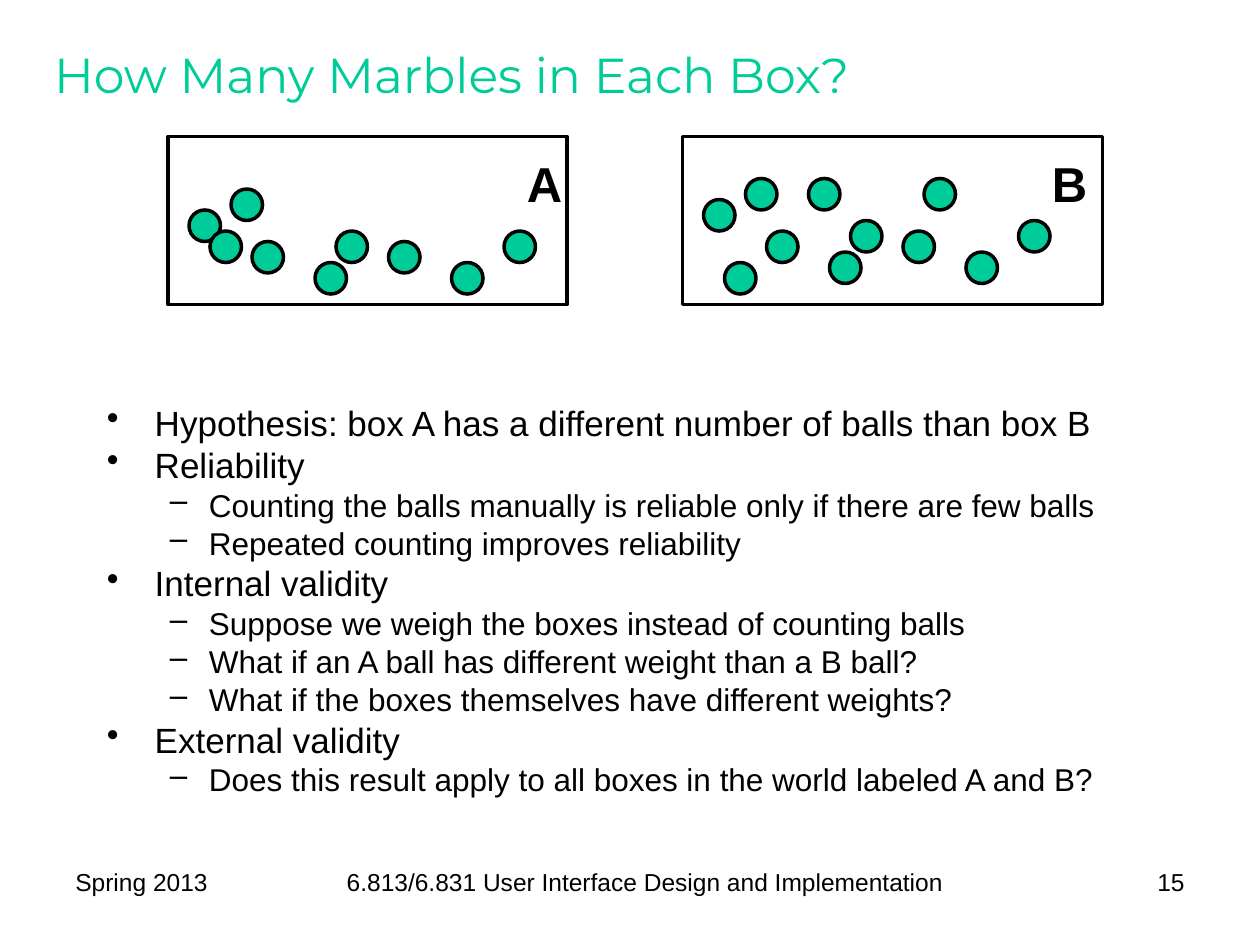
import dataclasses

import pptx
import pptx.dml.color
import pptx.enum.shapes
import pptx.enum.text
import pptx.oxml.ns
import pptx.util
from lxml import etree
from pptx.util import Inches

ALIGN = pptx.enum.text.PP_ALIGN
SHAPE = pptx.enum.shapes.MSO_SHAPE


@dataclasses.dataclass(frozen=True)
class Theme:
    """Hold the colours, fonts and sizes of the slide."""
    accent: str = "00CC99"
    ink: str = "000000"
    paper: str = "FFFFFF"
    heading: str = "Montserrat"
    body: str = "Arial"
    title_size: int = 28
    label_size: int = 28
    level_sizes: tuple = (20, 18)
    level_gaps: tuple = (5, 4.4)
    footer_size: int = 14
    line: int = 2


THEME = Theme()
UNIT = 1 / 12
MARBLE = 0.25
LEVELS = (("•", 0.38, -0.38), ("–", 0.81, -0.31))

BOXES = (
    ("A", (16 * UNIT, 13 * UNIT, 38 * UNIT, 16 * UNIT), 33,
     ((2, 7), (4, 9), (6, 5), (8, 10), (14, 12), (16, 9), (21, 10),
      (27, 12), (32, 9))),
    ("B", (65 * UNIT, 13 * UNIT, 40 * UNIT, 16 * UNIT), 34,
     ((2, 6), (4, 12), (6, 4), (8, 9), (14, 11), (16, 8), (21, 9),
      (27, 11), (32, 8), (12, 4), (23, 4))),
)

BULLETS = (
    (0, "Hypothesis: box A has a different number of balls than box B"),
    (0, "Reliability"),
    (1, "Counting the balls manually is reliable only if there are few balls"),
    (1, "Repeated counting improves reliability"),
    (0, "Internal validity"),
    (1, "Suppose we weigh the boxes instead of counting balls"),
    (1, "What if an A ball has different weight than a B ball?"),
    (1, "What if the boxes themselves have different weights?"),
    (0, "External validity"),
    (1, "Does this result apply to all boxes in the world labeled A and B?"),
)

FOOTERS = (
    ("Spring 2013", 0, 1.5, ALIGN.LEFT),
    ("6.813/6.831 User Interface Design and Implementation", 1.58, 6.08,
     ALIGN.CENTER),
    ("15", 7.75, 1.25, ALIGN.RIGHT),
)


def rgb(value):
    """Turn a hex string into a colour."""
    return pptx.dml.color.RGBColor.from_string(value)


def add_run(p, text, size, font=THEME.body, color=THEME.ink, bold=False):
    """Add one formatted run to a paragraph."""
    r = p.add_run()
    r.text = text
    r.font.name = font
    r.font.size = pptx.util.Pt(size)
    r.font.color.rgb = rgb(color)
    r.font.bold = bold


def add_text_box(s, box, wrap=True):
    """Add a text box and return its text frame."""
    tf = s.shapes.add_textbox(*map(Inches, box)).text_frame
    tf.word_wrap = wrap
    return tf


def add_outlined(s, kind, box, fill):
    """Add a filled shape with a dark outline."""
    sp = s.shapes.add_shape(kind, *map(Inches, box))
    sp.shadow.inherit = False
    sp.fill.solid()
    sp.fill.fore_color.rgb = rgb(fill)
    sp.line.color.rgb = rgb(THEME.ink)
    sp.line.width = pptx.util.Pt(THEME.line)


def set_bullet(p, level):
    """Give a paragraph the bullet and indent of its level."""
    char, margin, indent = LEVELS[level]
    p.level = level
    pPr = p._p.get_or_add_pPr()
    pPr.set("marL", str(Inches(margin)))
    pPr.set("indent", str(Inches(indent)))
    etree.SubElement(pPr, pptx.oxml.ns.qn("a:buChar")).set("char", char)


def place_title(s, box, text):
    """Move and fill the title placeholder."""
    sp = s.shapes.title
    sp.left, sp.top, sp.width, sp.height = map(Inches, box)
    tf = sp.text_frame
    tf.vertical_anchor = pptx.enum.text.MSO_ANCHOR.MIDDLE
    p = tf.paragraphs[0]
    p.alignment = ALIGN.LEFT
    add_run(p, text, THEME.title_size, THEME.heading, THEME.accent)


def place_marble_box(s, box, label, label_column, marbles):
    """Draw a labelled box with marbles on a grid inside it."""
    left, top = box[:2]
    add_outlined(s, SHAPE.RECTANGLE, box, THEME.paper)
    for column, row in marbles:
        spot = (left + column * UNIT, top + row * UNIT, MARBLE, MARBLE)
        add_outlined(s, SHAPE.OVAL, spot, THEME.accent)
    tf = add_text_box(
        s, (left + label_column * UNIT, top + UNIT, 0.48, 0.57), wrap=False)
    tf.auto_size = pptx.enum.text.MSO_AUTO_SIZE.SHAPE_TO_FIT_TEXT
    add_run(tf.paragraphs[0], label, THEME.label_size, bold=True)


def place_bullets(s, box, items, top_inset):
    """Write the two-level bullet list below the marble boxes."""
    tf = add_text_box(s, box)
    tf.margin_top = Inches(top_inset)
    for i, (level, text) in enumerate(items):
        p = tf.add_paragraph() if i else tf.paragraphs[0]
        p.line_spacing = 0.8
        p.space_before = pptx.util.Pt(THEME.level_gaps[level] if i else 0)
        set_bullet(p, level)
        add_run(p, text, THEME.level_sizes[level])


def place_footer(s, box, items):
    """Write the date, course and page number along the bottom."""
    left, top, _, height = box
    for text, offset, width, align in items:
        tf = add_text_box(s, (left + offset, top, width, height))
        p = tf.paragraphs[0]
        p.alignment = align
        add_run(p, text, THEME.footer_size)


def main():
    """Build and save the slide."""
    prs = pptx.Presentation()
    prs.slide_width, prs.slide_height = Inches(10), Inches(7.5)
    s = prs.slides.add_slide(prs.slide_layouts.get_by_name("Title Only"))
    place_title(s, (0.33, 0.17, 9.25, 0.83), "How Many Marbles in Each Box?")
    place_bullets(s, (0.75, 1.5, 8.5, 5.17), BULLETS, top_inset=1.75)
    place_footer(s, (0.5, 6.83, 9, 0.52), FOOTERS)
    for label, box, label_column, marbles in BOXES:
        place_marble_box(s, box, label, label_column, marbles)
    prs.save("out.pptx")


if __name__ == "__main__":
    main()
